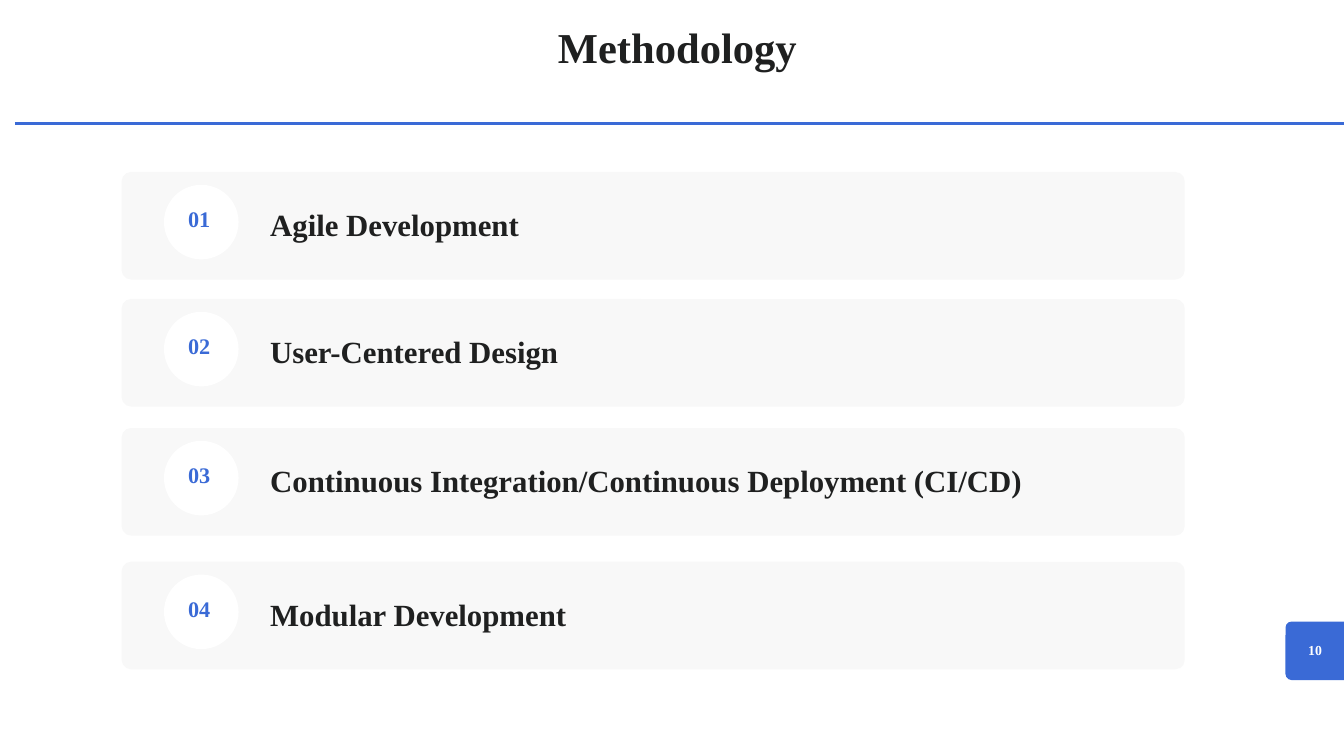
from dataclasses import dataclass

from lxml.etree import SubElement
from pptx import Presentation
from pptx.dml.color import RGBColor
from pptx.enum.shapes import MSO_CONNECTOR, MSO_SHAPE
from pptx.enum.text import PP_ALIGN
from pptx.oxml.ns import qn
from pptx.util import Inches, Pt

COLS, ROWS = 200, 112.5
CELL = Inches(20) / COLS


@dataclass(frozen=True)
class Theme:
    """Colours, font and type sizes of the slide."""
    ink: str = "1F2020"
    accent: str = "3A6AD6"
    card: str = "F8F8F8"
    paper: str = "FFFFFF"
    font: str = "Times New Roman"
    title: float = 45.6
    item: float = 33
    number: float = 23.8
    page: float = 14.7
    leading: float = 1.4
    rule: float = 3


THEME = Theme()


def grid(*cells):
    """Turn grid cells into slide lengths."""
    return [round(c * CELL) for c in cells]


def add_block(s, kind, box, color, radius=None):
    """Draw a plain filled shape in a box of grid cells."""
    sp = s.shapes.add_shape(kind, *grid(*box))
    sp.shadow.inherit = False
    sp.fill.solid()
    sp.fill.fore_color.rgb = RGBColor.from_string(color)
    sp.line.fill.background()
    if radius is not None:
        sp.adjustments[0] = radius / min(box[2:])


def add_text(s, text, box, size, color, align=PP_ALIGN.CENTER):
    """Write one bold line of text in a box of grid cells."""
    tf = s.shapes.add_textbox(*grid(*box)).text_frame
    tf.word_wrap = True
    tf.margin_left = tf.margin_top = tf.margin_right = tf.margin_bottom = 0
    p = tf.paragraphs[0]
    p.alignment = align
    p.line_spacing = Pt(round(size * THEME.leading, 1))
    r = p.add_run()
    r.text = text
    r.font.name, r.font.size, r.font.bold = THEME.font, Pt(size), True
    r.font.color.rgb = RGBColor.from_string(color)


def header(s, text, box):
    """Place the title and the rule along the foot of the box."""
    x, y, w, h = box
    add_text(s, text, (x + 77, y + 1.9, 43.2, 9.4), THEME.title, THEME.ink)
    ln = s.shapes.add_connector(
        MSO_CONNECTOR.STRAIGHT, *grid(x, y + h, x + w, y + h))
    ln.line.color.rgb = RGBColor.from_string(THEME.accent)
    ln.line.width = Pt(THEME.rule)
    SubElement(ln._element.spPr, qn("a:effectLst"))


def method_card(s, number, text, box):
    """Place a card with a numbered disc and a heading."""
    x, y, w, h = box
    add_block(s, MSO_SHAPE.ROUNDED_RECTANGLE, box, THEME.card, 1.4)
    add_block(s, MSO_SHAPE.OVAL, (x + 6.3, y + 1.9, 11.1, 11.1), THEME.paper)
    add_text(s, text, (x + 22.1, y + 4.15, w - 29.8, 6.5),
             THEME.item, THEME.ink, PP_ALIGN.LEFT)
    add_text(s, f"{number:02}", (x + 7.5, y + 4.35, 8.1, 4.8),
             THEME.number, THEME.accent)


def page_tab(s, text, box):
    """Place the page number on its tab at the slide edge."""
    x, y, w, h = box
    add_block(s, MSO_SHAPE.ROUNDED_RECTANGLE, box, THEME.accent, 0.9)
    add_text(s, text, (x + 2, y + 2.6, 4.8, 3), THEME.page, THEME.paper)


def main():
    """Build and save the slide."""
    prs = Presentation()
    prs.slide_width, prs.slide_height = grid(COLS, ROWS)
    s = prs.slides.add_slide(prs.slide_layouts[6])
    page_tab(s, "10", (191.3, 92.5, 10.4, 8.7))
    header(s, "Methodology", (2.2, 0, 201.1, 18.4))
    methods = [
        (25.6, "Agile Development"),
        (44.5, "User-Centered Design"),
        (63.7, "Continuous Integration/Continuous Deployment (CI/CD)"),
        (83.6, "Modular Development"),
    ]
    for number, (row, text) in enumerate(methods, 1):
        method_card(s, number, text, (18.1, row, 158.2, 16))
    prs.save("out.pptx")


if __name__ == "__main__":
    main()
